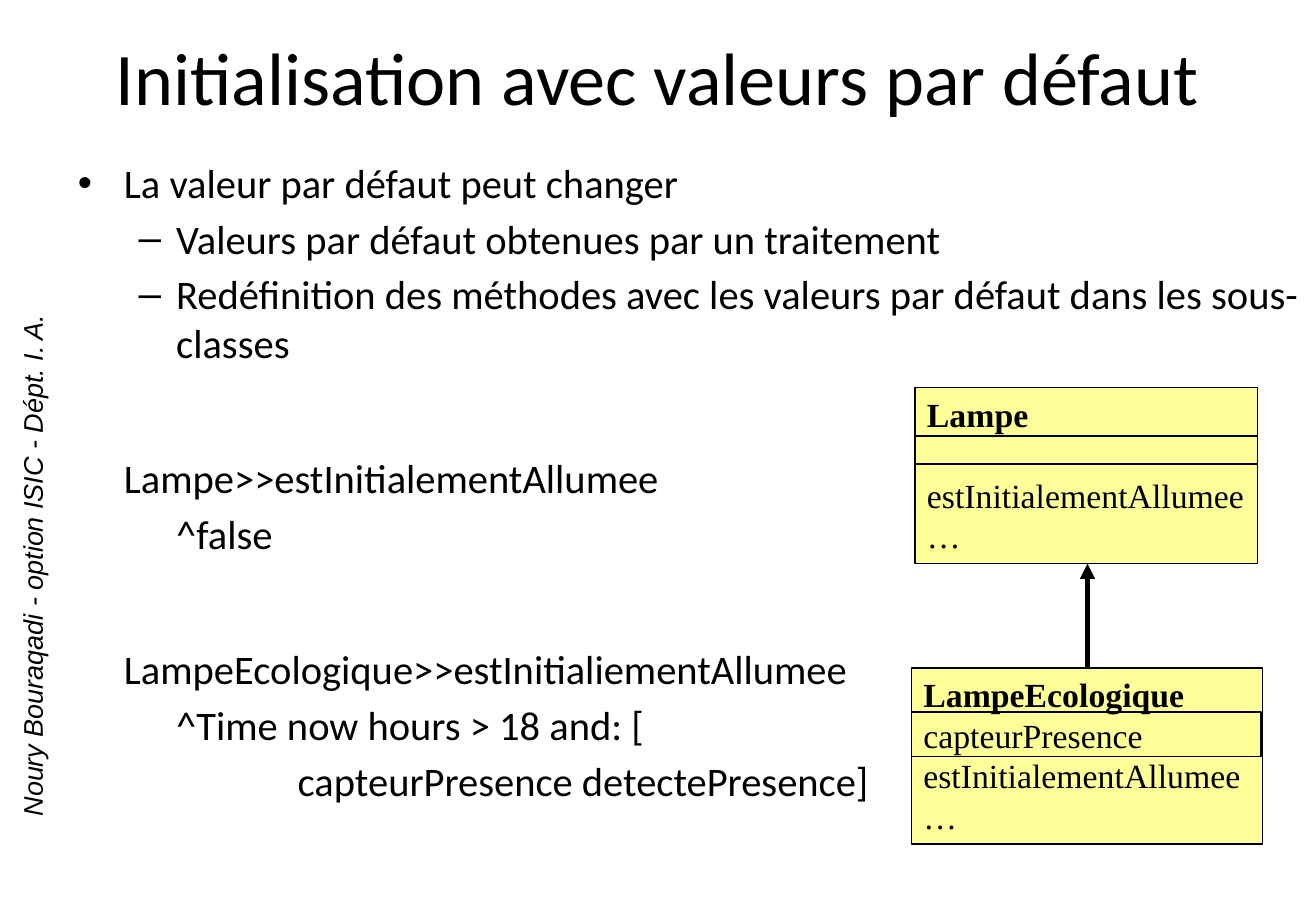
"""Builds the slide on initialisation with default values, with its class diagram."""
from dataclasses import dataclass

from lxml.etree import SubElement
from pptx import Presentation
from pptx.dml.color import RGBColor
from pptx.enum.shapes import MSO_CONNECTOR as Connector, MSO_SHAPE as Shape
from pptx.enum.text import MSO_ANCHOR as Anchor, MSO_AUTO_SIZE as AutoSize, PP_ALIGN as Align
from pptx.oxml.ns import qn
from pptx.util import Inches, Pt


@dataclass(frozen=True)
class Theme:
    ink: RGBColor = RGBColor(0x00, 0x00, 0x00)
    class_fill: RGBColor = RGBColor(0xFF, 0xFF, 0x99)
    text_font: str = "Calibri"
    class_font: str = "Times New Roman"
    credit_font: str = "Arial"
    title_size: int = 44
    body_size: int = 24
    class_size: int = 20
    credit_size: int = 16


theme = Theme()


def style(paragraph, font_name, size, bold=False, italic=False):
    for run in paragraph.runs:
        run.font.name, run.font.size = font_name, Pt(size)
        run.font.bold, run.font.italic = bold, italic
        run.font.color.rgb = theme.ink


def add_box(shapes, left, top, width, height):
    box = shapes.add_shape(Shape.RECTANGLE, Inches(left), Inches(top), Inches(width), Inches(height))
    box.shadow.inherit = False
    box.line.color.rgb, box.line.width = theme.ink, Pt(1)
    return box


deck = Presentation()
deck.slide_width, deck.slide_height = Inches(10.83), Inches(7.5)
slide = deck.slides.add_slide(deck.slide_layouts[1])

credit = slide.shapes.add_textbox(Inches(-1.91), Inches(4.47), Inches(4.35), Inches(0.37))
credit.rotation = 270
credit.text_frame.word_wrap = False
credit.text_frame.vertical_anchor = Anchor.MIDDLE
credit.text_frame.text = "Noury Bouraqadi - option ISIC - Dépt. I. A."
credit.text_frame.paragraphs[0].alignment = Align.CENTER
style(credit.text_frame.paragraphs[0], theme.credit_font, theme.credit_size, italic=True)

title = slide.shapes.title
title.left, title.top, title.width, title.height = 0, 0, deck.slide_width, Inches(1.25)
title.text_frame.text = "Initialisation avec valeurs par défaut"
title.text_frame.auto_size = AutoSize.NONE
title.text_frame.vertical_anchor = Anchor.MIDDLE
title.text_frame.paragraphs[0].alignment = Align.CENTER
style(title.text_frame.paragraphs[0], theme.text_font, theme.title_size)

line_gap, method_gap = 4.2, 51.5
outline = [
    ("La valeur par défaut peut changer", 0, 0.38, -0.38, line_gap),
    ("Valeurs par défaut obtenues par un traitement", 1, 0.81, -0.31, line_gap),
    ("Redéfinition des méthodes avec les valeurs par défaut dans les sous-classes",
     1, 0.81, -0.31, line_gap),
    ("Lampe>>estInitialementAllumee", 0, 0.38, 0, method_gap),
    ("^false", 1, 0.81, 0, line_gap),
    ("LampeEcologique>>estInitialiementAllumee", 0, 0.38, 0, method_gap),
    ("^Time now hours > 18 and: [", 1, 0.81, 0, line_gap),
    ("capteurPresence detectePresence]", 1, 1.81, 0, line_gap),
]
body = slide.placeholders[1]
body.left, body.top, body.width, body.height = Inches(0.54), Inches(1.25), Inches(10.29), Inches(6.25)
body.text_frame.auto_size = AutoSize.NONE
body.text_frame.text = "\n".join(entry[0] for entry in outline)
for paragraph, (_, level, margin, indent, gap) in zip(body.text_frame.paragraphs, outline):
    paragraph.level = level
    paragraph.space_before = Pt(gap)
    properties = paragraph._p.get_or_add_pPr()
    properties.set("marL", str(Inches(margin)))
    properties.set("indent", str(Inches(indent)))
    if not indent:
        SubElement(properties, qn("a:buNone"))
    style(paragraph, theme.text_font, theme.body_size)

classes = [
    (["Lampe", "estInitialementAllumee", "…"], 24, (7.53, 3.19, 2.82, 1.45), (7.53, 3.59, 2.82, 0.23)),
    (["LampeEcologique", "capteurPresence", "estInitialementAllumee", "…"], 0,
     (7.5, 5.5, 2.89, 1.45), (7.5, 5.86, 2.88, 0.37)),
]
for members, gap_below_name, frame, attributes_frame in classes:
    diagram = slide.shapes.add_group_shape()
    class_box = add_box(diagram.shapes, *frame)
    class_box.fill.solid()
    class_box.fill.fore_color.rgb = theme.class_fill
    class_box.text_frame.word_wrap = False
    class_box.text_frame.vertical_anchor = Anchor.TOP
    class_box.text_frame.text = "\n".join(members)
    for row, paragraph in enumerate(class_box.text_frame.paragraphs):
        paragraph.alignment = Align.LEFT
        paragraph.space_before = Pt(gap_below_name if row == 1 else 0)
        style(paragraph, theme.class_font, theme.class_size, bold=row == 0)
    add_box(diagram.shapes, *attributes_frame).fill.background()

inheritance = slide.shapes.add_connector(
    Connector.STRAIGHT, Inches(8.95), Inches(5.5), Inches(8.95), Inches(4.64))
inheritance.line.color.rgb, inheritance.line.width = theme.ink, Pt(3)
SubElement(inheritance.line._get_or_add_ln(), qn("a:tailEnd"), type="triangle")
SubElement(inheritance._element.spPr, qn("a:effectLst"))

deck.save("out.pptx")
